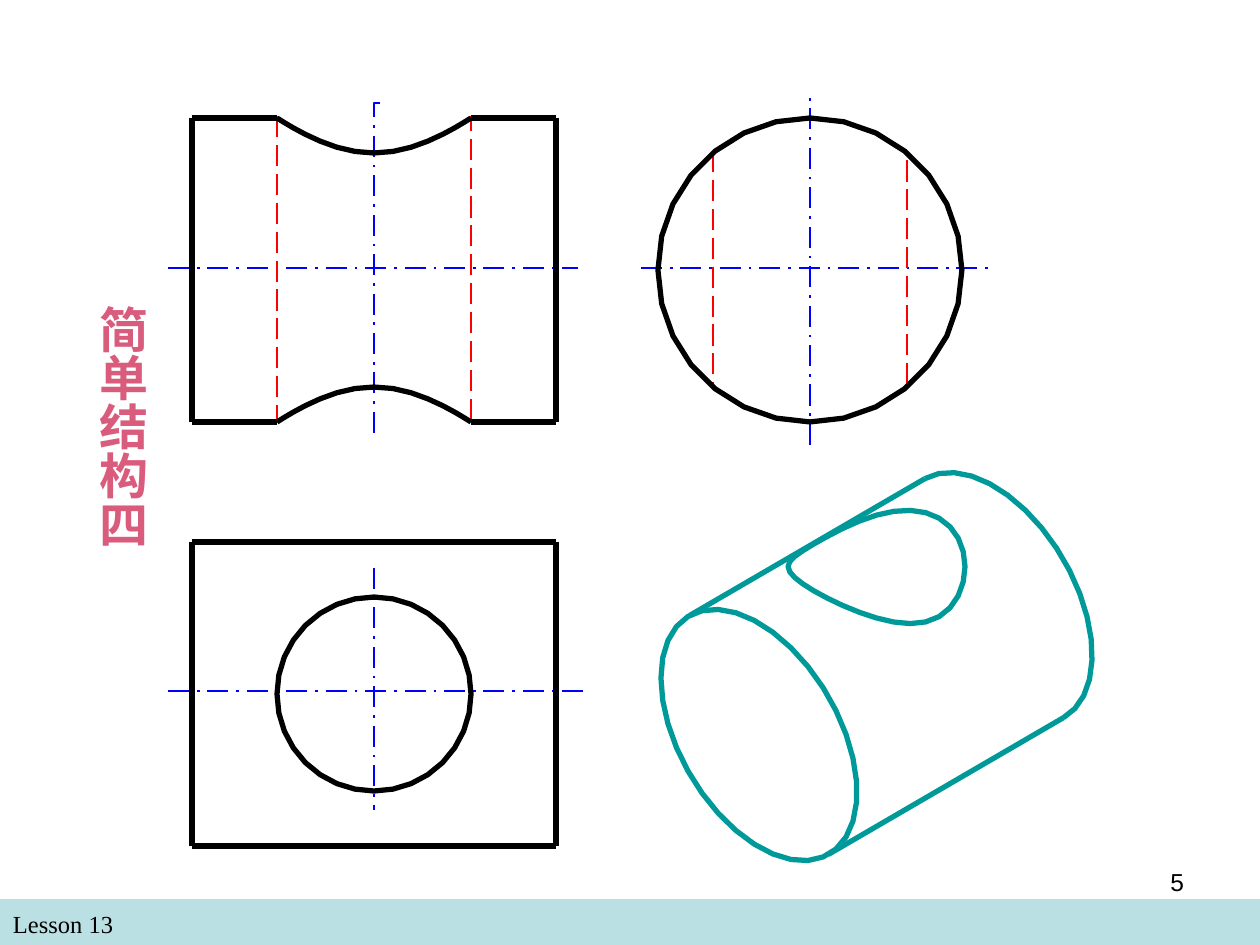
import math

import lxml.etree
import pptx
import pptx.dml.color
import pptx.enum.dml
import pptx.enum.shapes
import pptx.enum.text
import pptx.oxml.ns
import pptx.util

PX = 914400 / 126
RGB = pptx.dml.color.RGBColor
BLACK = RGB(0x00, 0x00, 0x00)
BLUE = RGB(0x00, 0x00, 0xFF)
RED = RGB(0xFF, 0x00, 0x00)
TEAL = RGB(0x00, 0x99, 0x99)
ROSE = RGB(0xDA, 0x5C, 0x7D)
PALE_TEAL = RGB(0xBB, 0xE0, 0xE3)

DASH = pptx.enum.dml.MSO_LINE
ALIGN = pptx.enum.text.PP_ALIGN
OUTLINE = (BLACK, 3, None)
SOLID = (TEAL, 3, None)
AXIS = (BLUE, 1.5, DASH.LONG_DASH_DOT)
HIDDEN = (RED, 1.5, DASH.LONG_DASH)

CYLINDER_RADIUS = 152
HOLE_RADIUS = 97


def emu(px):
    return pptx.util.Emu(round(px * PX))


def style_line(line, style):
    color, width, dash = style
    line.color.rgb = color
    line.width = pptx.util.Pt(width)
    if dash is not None:
        line.dash_style = dash


def draw_line(slide, x1, y1, x2, y2, style):
    edge = slide.shapes.add_connector(
        pptx.enum.shapes.MSO_CONNECTOR.STRAIGHT, emu(x1), emu(y1), emu(x2), emu(y2))
    style_line(edge.line, style)
    lxml.etree.SubElement(edge._element.spPr, pptx.oxml.ns.qn("a:effectLst"))


def draw_curve(slide, points, style, close=False):
    corners = [(emu(x), emu(y)) for x, y in points]
    builder = slide.shapes.build_freeform(*corners[0], scale=1.0)
    builder.add_line_segments(corners[1:], close=close)
    curve = builder.convert_to_shape()
    curve.fill.background()
    curve.shadow.inherit = False
    style_line(curve.line, style)


def draw_circle(slide, cx, cy, radius, sides):
    angles = [math.tau * i / sides for i in range(sides)]
    points = [(cx + radius * math.sin(a), cy + radius * math.cos(a)) for a in angles]
    draw_curve(slide, points, OUTLINE, close=True)


def draw_ends(slide, left, top, right, bottom):
    draw_line(slide, right, top, right, bottom, OUTLINE)
    draw_line(slide, left, bottom, left, top, OUTLINE)


def add_text(slide, box, text, size, font, color, align, bold=False, insets=(13, 6, 13, 6)):
    label = slide.shapes.add_textbox(*map(emu, box))
    frame = label.text_frame
    frame.word_wrap = True
    (frame.margin_left, frame.margin_top,
     frame.margin_right, frame.margin_bottom) = map(emu, insets)
    paragraph = frame.paragraphs[0]
    paragraph.alignment = align
    run = paragraph.add_run()
    run.text = text
    run.font.size = pptx.util.Pt(size)
    run.font.name = font
    run.font.bold = bold
    run.font.color.rgb = color
    return frame


def front_view(slide, left, top, width, height):
    right, bottom = left + width, top + height
    cx, cy = left + width / 2, top + height / 2
    hole_left, hole_right = cx - HOLE_RADIUS, cx + HOLE_RADIUS
    draw_line(slide, left - 24, cy - 2, right + 22, cy - 2, AXIS)
    draw_curve(slide, [(cx, bottom + 11), (cx, top - 15), (cx + 11, top - 15)], AXIS)
    draw_line(slide, hole_right, bottom - 2, hole_right, top - 2, HIDDEN)
    draw_line(slide, hole_left, top - 2, hole_left, bottom - 2, HIDDEN)
    draw_ends(slide, left, top, right, bottom)
    offsets = [-HOLE_RADIUS * math.cos(math.pi * i / 16) for i in range(17)]
    for side, edge in ((-1, top), (1, bottom)):
        draw_line(slide, left, edge, hole_left, edge, OUTLINE)
        draw_line(slide, hole_right, edge, right, edge, OUTLINE)
        notch = [(cx + x, cy + side * math.sqrt(CYLINDER_RADIUS**2 - HOLE_RADIUS**2 + x**2))
                 for x in offsets]
        draw_curve(slide, notch, OUTLINE)


def side_view(slide, left, top, size):
    bottom = top + size
    cx, cy = left + size / 2, top + size / 2
    draw_line(slide, left - 17, cy - 2, left + size + 26, cy - 2, AXIS)
    draw_line(slide, cx, bottom + 23, cx, top - 23, AXIS)
    draw_line(slide, cx + HOLE_RADIUS, bottom - 38, cx + HOLE_RADIUS, top + 33, HIDDEN)
    draw_line(slide, cx - HOLE_RADIUS, top + 33, cx - HOLE_RADIUS, bottom - 38, HIDDEN)
    draw_circle(slide, cx, cy, size / 2, 28)


def top_view(slide, left, top, width, height):
    right, bottom = left + width, top + height
    cx, cy = left + width / 2, top + height / 2
    draw_line(slide, left - 24, cy - 3, right + 31, cy - 3, AXIS)
    draw_line(slide, cx, top + 26, cx, bottom - 36, AXIS)
    draw_ends(slide, left, top, right, bottom)
    draw_circle(slide, cx, cy, HOLE_RADIUS, 32)
    for edge in (bottom, top):
        draw_line(slide, left, edge, right, edge, OUTLINE)


def isometric_view(slide, left, top):
    hole = HOLE_RADIUS / CYLINDER_RADIUS
    length = 2.4

    def project(along, across, up):
        return (left + 97 + 98 * (along + across),
                top + 262 + 57 * (across - along) - 112 * up)

    def rim(along, angle):
        return project(along, -math.cos(angle), -math.sin(angle))

    def hole_edge(angle):
        across = hole * math.sin(angle)
        return project(length / 2 + hole * math.cos(angle), across, math.sqrt(1 - across**2))

    lower, upper = math.radians(135), math.radians(315)
    back = [rim(length, lower + math.pi * i / 17) for i in range(18)]
    front = [rim(0, math.tau * i / 33) for i in range(33)]
    opening = [hole_edge(math.tau * i / 32) for i in range(32)]
    draw_curve(slide, back, SOLID)
    draw_curve(slide, front, SOLID, close=True)
    draw_curve(slide, opening, SOLID, close=True)
    for angle in (lower, upper):
        draw_line(slide, *rim(0, angle), *rim(length, angle), SOLID)


def footer(slide, left, top, width, height):
    band = slide.shapes.add_shape(
        pptx.enum.shapes.MSO_SHAPE.RECTANGLE, *map(emu, (left, top, width, height)))
    band.shadow.inherit = False
    band.fill.solid()
    band.fill.fore_color.rgb = PALE_TEAL
    band.line.fill.background()
    add_text(slide, (left, top + 4, 609, 43), "Lesson 13", 14, "Times New Roman",
             BLACK, ALIGN.LEFT)
    add_text(slide, (left + 903, top - 38, 294, 65), "5", 14, "Arial", BLACK, ALIGN.RIGHT)


def vertical_title(slide, left, top, width, height):
    title = add_text(slide, (left, top, width, height), "简单结构四", 28, "Arial",
                     ROSE, ALIGN.LEFT, bold=True, insets=(6, 209, 6, 13))
    title._txBody.bodyPr.set("vert", "eaVert")


def main():
    deck = pptx.Presentation()
    deck.slide_width, deck.slide_height = emu(1260), emu(945)
    slide = deck.slides.add_slide(deck.slide_layouts[6])
    footer(slide, 0, 899, 1260, 46)
    front_view(slide, 192, 118, 364, 304)
    top_view(slide, 192, 542, 364, 304)
    side_view(slide, 658, 118, 304)
    isometric_view(slide, 662, 473)
    vertical_title(slide, 75, 96, 83, 665)
    deck.save("out.pptx")


if __name__ == "__main__":
    main()
